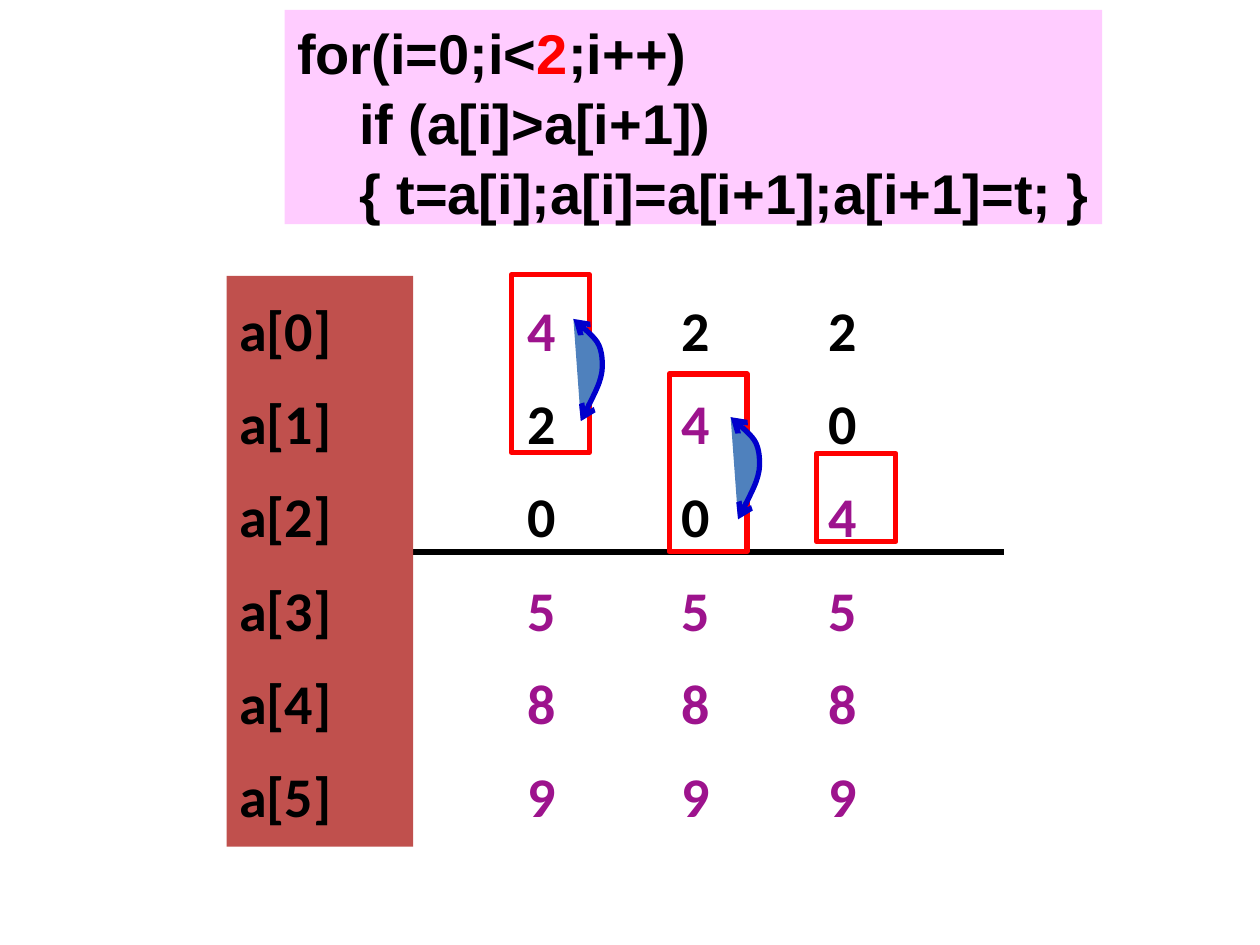
from lxml.etree import SubElement
from pptx import Presentation
from pptx.dml.color import RGBColor
from pptx.enum.shapes import MSO_CONNECTOR, MSO_SHAPE as SHAPE
from pptx.enum.text import MSO_ANCHOR as ANCHOR, PP_ALIGN as ALIGN
from pptx.oxml.ns import qn
from pptx.util import Cm, Pt

COLORS = {
    "ink": "000000",
    "settled": "9D138D",
    "frame": "FF0000",
    "swap": "0000CC",
    "swap_fill": "4F81BD",
    "labels": "C0504D",
    "code": "FFCCFF",
}
ROWS_TOP, ROWS_HEIGHT = 5.56, 11.51
PASSES = [(10.39, "420589"), (13.49, "240589"), (16.46, "204589")]
FRAMES = [
    (10.31, 5.54, 1.57, 3.58),
    (13.49, 7.54, 1.57, 3.58),
    (16.46, 9.14, 1.6, 1.78),
]
SWAPS = [(11.56, 6.43), (14.73, 8.41)]
SWAP_CURVE = [(0.15, 2.06), (0.38, 1.6), (0.61, 1.17), (0.58, 0.84),
              (0.56, 0.48), (0.28, 0.23), (0, 0)]
CODE = [
    [("for(i=0;i<", "ink"), ("2", "frame"), (";i++)", "ink")],
    [("    if (a[i]>a[i+1])", "ink")],
    [("    { t=a[i];a[i]=a[i+1];a[i+1]=t; }", "ink")],
]


def rgb(name):
    return RGBColor.from_string(COLORS[name])


def style_font(font, face, color):
    font.name, font.size, font.bold = face, Pt(32), True
    font.color.rgb = rgb(color)


def style_line(line, color):
    line.color.rgb = rgb(color)
    line.width = Pt(3)


def add_panel(slide, box, color):
    panel = slide.shapes.add_shape(SHAPE.RECTANGLE, *map(Cm, box))
    panel.shadow.inherit = False
    panel.fill.solid()
    panel.fill.fore_color.rgb = rgb(color)
    panel.line.fill.background()
    panel.text_frame.vertical_anchor = ANCHOR.TOP
    return panel


def fill_rows(frame, entries):
    frame.word_wrap = True
    frame.text = "\n".join(text for text, _ in entries)
    for row, (paragraph, (_, color)) in enumerate(zip(frame.paragraphs, entries)):
        paragraph.alignment = ALIGN.LEFT
        paragraph.line_spacing = 1.2
        if row:
            paragraph.space_before = Pt(7.2)
        style_font(paragraph.runs[0].font, "Calibri", color)


def add_pass(slide, left, digits):
    column = slide.shapes.add_textbox(
        Cm(left), Cm(ROWS_TOP), Cm(1.98), Cm(ROWS_HEIGHT))
    fill_rows(column.text_frame,
              [(d, "settled" if int(d) >= 4 else "ink") for d in digits])


def add_frame(slide, box):
    frame = slide.shapes.add_shape(SHAPE.FLOWCHART_PROCESS, *map(Cm, box))
    frame.shadow.inherit = False
    frame.fill.background()
    style_line(frame.line, "frame")


def add_swap(slide, left, top):
    start, *bends = [(Cm(left + x), Cm(top + y)) for x, y in SWAP_CURVE]
    builder = slide.shapes.build_freeform(*start)
    builder.add_line_segments(bends, close=False)
    swap = builder.convert_to_shape()
    swap.shadow.inherit = False
    swap.fill.solid()
    swap.fill.fore_color.rgb = rgb("swap_fill")
    style_line(swap.line, "swap")

    path = next(swap.element.iter(qn("a:path")))
    segments = path.findall(qn("a:lnTo"))
    for first in range(0, len(segments), 3):
        curve = SubElement(path, qn("a:cubicBezTo"))
        for segment in segments[first:first + 3]:
            curve.append(segment[0])
            path.remove(segment)
    outline = swap.element.spPr.find(qn("a:ln"))
    for end in ("a:headEnd", "a:tailEnd"):
        SubElement(outline, qn(end), type="arrow")


def add_divider(slide, left, right, y):
    divider = slide.shapes.add_connector(
        MSO_CONNECTOR.STRAIGHT, Cm(left), Cm(y), Cm(right), Cm(y))
    style_line(divider.line, "ink")
    SubElement(divider.element.spPr, qn("a:effectLst"))


def add_labels(slide):
    labels = add_panel(slide, (4.57, ROWS_TOP, 3.76, ROWS_HEIGHT), "labels")
    fill_rows(labels.text_frame, [(f"a[{i}]", "ink") for i in range(6)])


def add_code(slide):
    frame = add_panel(slide, (5.74, 0.2, 16.48, 4.32), "code").text_frame
    frame.word_wrap = False
    for number, parts in enumerate(CODE):
        line = frame.add_paragraph() if number else frame.paragraphs[0]
        line.alignment = ALIGN.LEFT
        line.line_spacing = 1.04
        for text, color in parts:
            run = line.add_run()
            run.text = text
            style_font(run.font, "Arial", color)


def main():
    deck = Presentation()
    deck.slide_width, deck.slide_height = Cm(25.4), Cm(19.05)
    slide = deck.slides.add_slide(deck.slide_layouts[6])
    add_divider(slide, 8.33, 20.24, 11.13)
    for left, digits in PASSES:
        add_pass(slide, left, digits)
    for box in FRAMES:
        add_frame(slide, box)
    for left, top in SWAPS:
        add_swap(slide, left, top)
    add_labels(slide)
    add_code(slide)
    deck.save("out.pptx")


if __name__ == "__main__":
    main()
